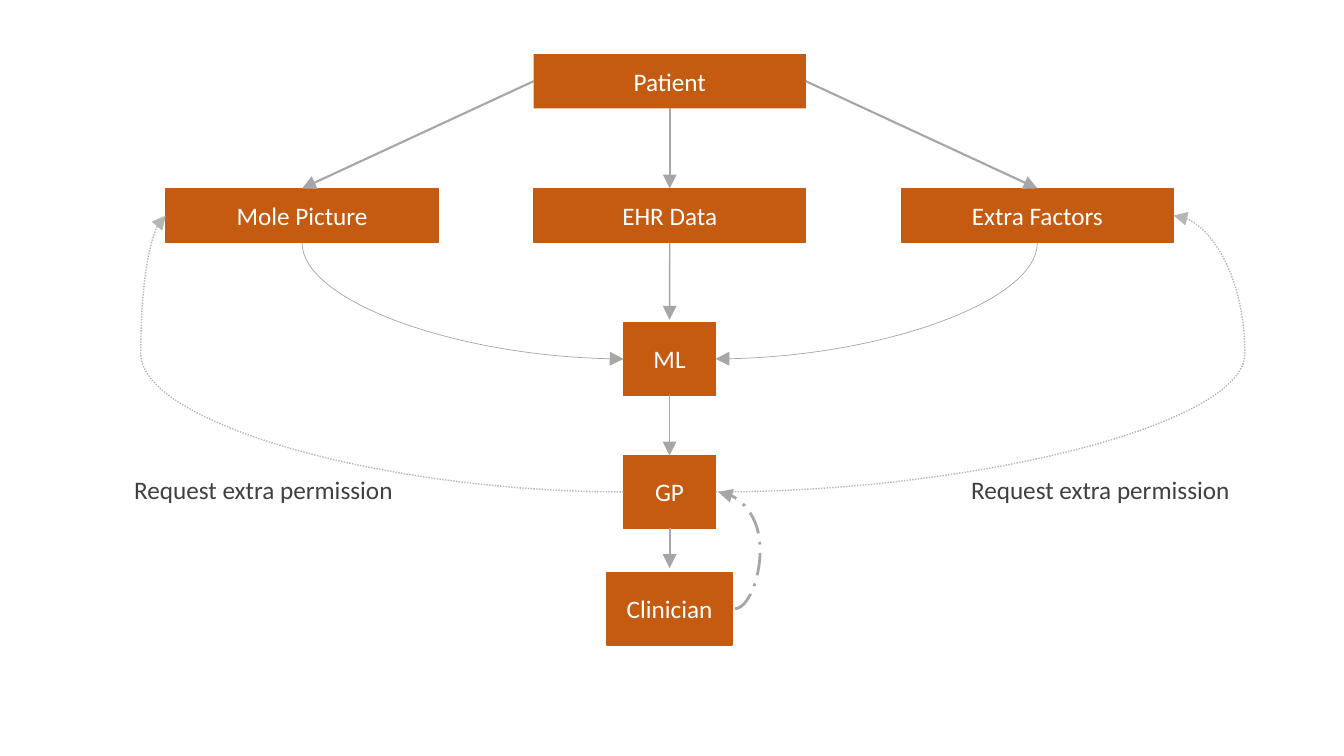
from lxml import etree
from pptx import Presentation
from pptx.dml.color import RGBColor
from pptx.enum.dml import MSO_LINE
from pptx.enum.shapes import MSO_CONNECTOR, MSO_SHAPE
from pptx.enum.text import MSO_ANCHOR, PP_ALIGN
from pptx.oxml.ns import qn
from pptx.util import Pt

RECT = MSO_SHAPE.RECTANGLE
LINE, CURVE = MSO_CONNECTOR.STRAIGHT, MSO_CONNECTOR.CURVE
DOTS, DASH = MSO_LINE.ROUND_DOT, MSO_LINE.LONG_DASH_DOT
CENTER, MIDDLE = PP_ALIGN.CENTER, MSO_ANCHOR.MIDDLE
TOP, LEFT, BOTTOM, RIGHT = range(4)
COLORS = {"box": "C55A11", "label": "FFFFFF", "line": "A6A6A6", "note": "404040"}
FONT = "Calibri"


def rgb(name):
    return RGBColor.from_string(COLORS[name])


def write(shape, text, color):
    frame = shape.text_frame
    frame.word_wrap = True
    frame.vertical_anchor = MIDDLE
    para = frame.paragraphs[0]
    para.alignment = CENTER
    run = para.add_run()
    run.text = text
    run.font.name = FONT
    run.font.size = Pt(18)
    run.font.color.rgb = rgb(color)


def node(slide, text, x, y, w, h, edge=True):
    shape = slide.shapes.add_shape(RECT, Pt(x), Pt(y), Pt(w), Pt(h))
    shape.shadow.inherit = False
    shape.fill.solid()
    shape.fill.fore_color.rgb = rgb("box")
    if edge:
        shape.line.color.rgb = rgb("box")
        shape.line.width = Pt(1)
    else:
        shape.line.fill.background()
    write(shape, text, "label")
    return shape


def side(shape, site):
    """Middle of one side of a shape, in points."""
    x, y = shape.left.pt, shape.top.pt
    w, h = shape.width.pt, shape.height.pt
    return [(x + w / 2, y), (x, y + h / 2), (x + w / 2, y + h), (x + w, y + h / 2)][site]


def link(slide, kind, start, end, width, dash=None, head="tailEnd"):
    wire = slide.shapes.add_connector(kind, *(Pt(v) for v in (*start, *end)))
    wire.line.color.rgb = rgb("line")
    wire.line.width = Pt(width)
    if dash:
        wire.line.dash_style = dash
    props = wire._element.spPr
    etree.SubElement(props.find(qn("a:ln")), qn("a:" + head),
                     type="triangle", w="lg", len="lg")
    etree.SubElement(props, qn("a:effectLst"))
    return wire


def arrow(slide, a, b, width, exit=BOTTOM, gap=0):
    """Straight arrow into the top of b, stopping short by the gap."""
    x, y = side(b, TOP)
    wire = link(slide, LINE, side(a, exit), (x, y - gap), width)
    wire.begin_connect(a, exit)
    if not gap:
        wire.end_connect(b, TOP)


def loop(slide, start, end, bend, width, dash):
    """Curved arrow that swings out to x = bend on its way."""
    wire = link(slide, CURVE, start, end, width, dash)
    ratio = (bend - start[0]) / (end[0] - start[0])
    guides = wire._element.spPr.find(qn("a:prstGeom")).find(qn("a:avLst"))
    etree.SubElement(guides, qn("a:gd"), name="adj1", fmla=f"val {round(ratio * 100000)}")
    return wire


def sources(slide, x, y, w):
    """Patient above the three inputs."""
    wide, high, drop = 194.4, 38.8, 96
    step = (w - wide) / 2
    patient = node(slide, "Patient", x + step, y, wide, high, edge=False)
    names = ("Mole Picture", "EHR Data", "Extra Factors")
    inputs = [node(slide, name, x + i * step, y + drop, wide, high)
              for i, name in enumerate(names)]
    for item, exit in zip(inputs, (LEFT, BOTTOM, RIGHT)):
        arrow(slide, patient, item, 1.5, exit)
    return inputs


def chain(slide, x, y, w):
    """ML, GP and clinician in one column."""
    steps = (("ML", 0, 65.6), ("GP", 95, 65.6), ("Clinician", 178.4, w))
    model, doctor, expert = [
        node(slide, name, x + (w - wide) / 2, y + drop, wide, 52)
        for name, drop, wide in steps]
    arrow(slide, model, doctor, 0.5)
    arrow(slide, doctor, expert, 1.5, gap=3)
    (x1, y1), (x2, y2) = side(expert, RIGHT), side(doctor, RIGHT)
    loop(slide, (x1 + 2, y1), (x2 + 2, y2), x1 + 20, 2, DASH)
    return model, doctor


def merge(slide, inputs, model):
    """Inputs flow into ML."""
    mole, data, extra = inputs
    arrow(slide, data, model, 1, gap=2)
    for item, site in ((mole, LEFT), (extra, RIGHT)):
        wire = link(slide, CURVE, side(model, site), side(item, BOTTOM), 0.5, head="headEnd")
        wire._element.spPr.find(qn("a:prstGeom")).set("prst", "curvedConnector2")


def requests(slide, doctor, mole, extra, x, y, w):
    """Dotted returns from GP, each with a note."""
    wide = 284.4
    for item, site, out, left in ((mole, LEFT, -18, x), (extra, RIGHT, 51, x + w - wide)):
        end = side(item, site)
        wire = loop(slide, side(doctor, site), end, end[0] + out, 1, DOTS)
        color = next(wire._element.spPr.iter(qn("a:srgbClr")))
        etree.SubElement(color, qn("a:alpha"), val="82000")
        note = slide.shapes.add_textbox(Pt(left), Pt(y), Pt(wide), Pt(29))
        write(note, "Request extra permission", "note")


def main():
    deck = Presentation()
    deck.slide_width, deck.slide_height = Pt(960), Pt(540)
    slide = deck.slides.add_slide(deck.slide_layouts[6])
    inputs = sources(slide, 118.6, 38.6, 719.6)
    model, doctor = chain(slide, 433.6, 230.4, 89.4)
    merge(slide, inputs, model)
    requests(slide, doctor, inputs[0], inputs[2], 46, 335, 882.2)
    deck.save("out.pptx")


if __name__ == "__main__":
    main()
